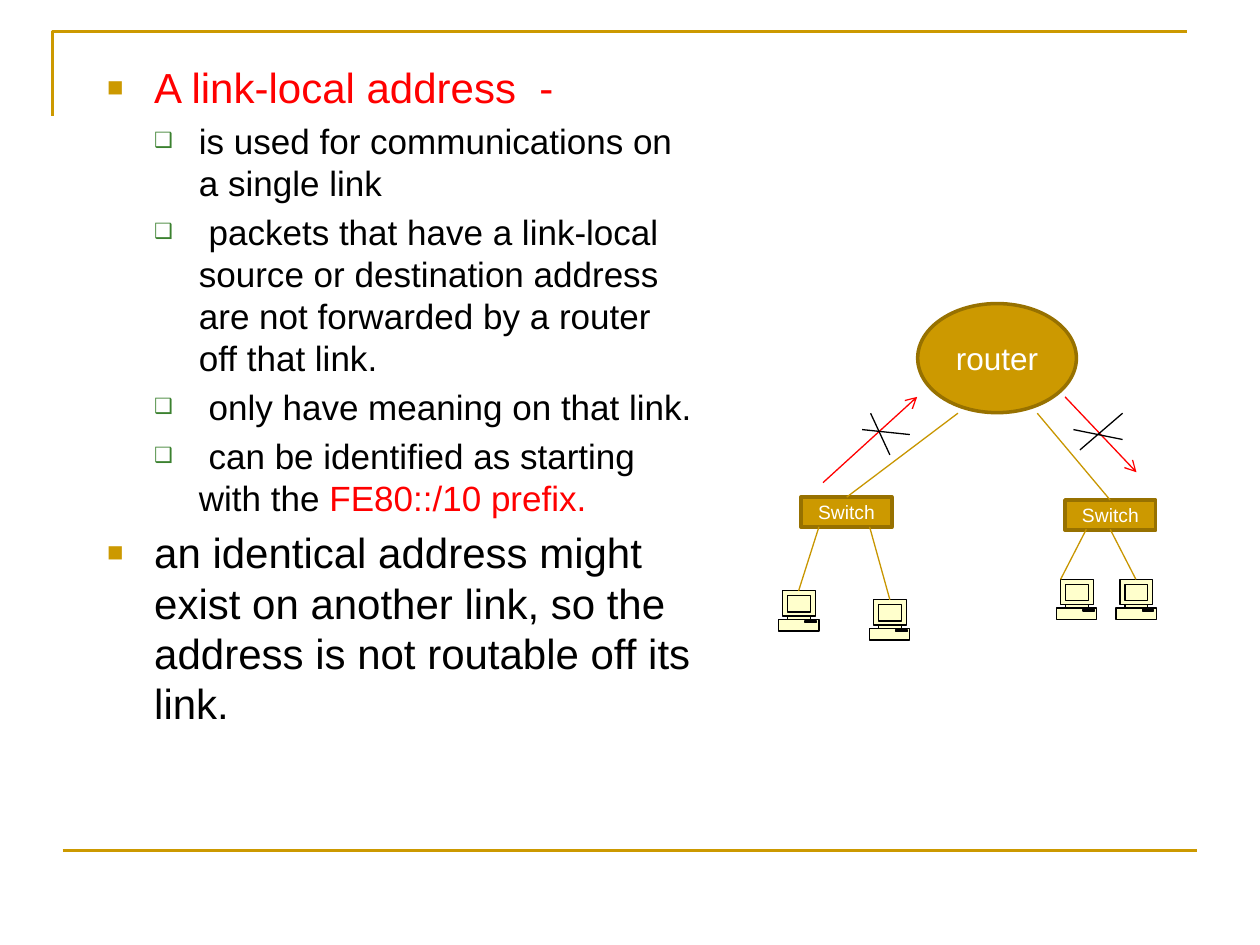
import pptx
import pptx.util
import pptx.dml.color
import pptx.enum.shapes
import pptx.enum.text
import pptx.oxml
import pptx.oxml.ns

Cm, Pt = pptx.util.Cm, pptx.util.Pt
KIND = pptx.enum.shapes.MSO_SHAPE
HUES = {
    "gold": "CC9900", "edge": "977100", "wire": "C89600", "red": "FF0000",
    "black": "000000", "white": "FFFFFF", "green": "3B812F", "cream": "FFFFCC",
}
FONT = "Arial"
LEVELS = [
    {"mark": "■", "hue": "gold", "pct": 65, "left": 0.95, "hang": 0.95, "size": 24},
    {"mark": "❑", "hue": "green", "pct": 60, "left": 1.85, "hang": 0.9, "size": 20},
]
ITEMS = [
    (0, [("A link-local address  -", "red")]),
    (1, [("is used for communications on a single link", "black")]),
    (1, [(" packets that have a link-local source or destination address "
          "are not forwarded by a router off that link.", "black")]),
    (1, [(" only have meaning on that link.", "black")]),
    (1, [(" can be identified as starting with the ", "black"),
         ("FE80::/10 prefix.", "red")]),
    (0, [("an identical address might exist on another link, so the address "
          "is not routable off its link.", "black")]),
]
HOSTS = [(0, 5.79), (1.83, 5.97), (5.6, 5.56), (6.8, 5.56)]
SWITCHES = [(5.77, 3.96), (0.45, 3.9)]
WIRES = [
    (0.4, 5.79, 0.81, 4.5), (2.24, 5.97, 1.83, 4.5),
    (5.68, 5.56, 6.2, 4.55), (7.2, 5.56, 6.68, 4.55),
    (1.37, 3.9, 3.61, 2.21), (6.68, 3.96, 5.21, 2.21),
]
ARROWS = [(0.89, 3.61, 2.79, 1.88), (5.77, 1.88, 7.21, 3.4)]
CROSSES = [
    (1.68, 2.54, 2.64, 2.64), (1.85, 2.21, 2.24, 3.05),
    (6.07, 2.95, 6.93, 2.21), (5.94, 2.54, 6.93, 2.74),
]
CASE = [
    (0.64, 0.58), (0.64, 0.51), (0.74, 0.51), (0.74, 0), (0.08, 0), (0.08, 0.51),
    (0.18, 0.51), (0.18, 0.58), (0, 0.58), (0, 0.81), (0.81, 0.81), (0.81, 0.58),
]
PANELS = [(0.18, 0.51, 0.46, 0.07), (0.18, 0.1, 0.46, 0.33), (0.53, 0.61, 0.23, 0.03)]


def tint(name):
    """Return the named colour."""
    return pptx.dml.color.RGBColor.from_string(HUES[name])


def paint(shape, fill, line, width):
    """Set fill and outline, and drop the shadow."""
    shape.shadow.inherit = False
    if fill:
        shape.fill.solid()
        shape.fill.fore_color.rgb = tint(fill)
    else:
        shape.fill.background()
    shape.line.color.rgb = tint(line)
    shape.line.width = Pt(width)


def write(para, text, size, hue):
    """Add one run to a paragraph."""
    run = para.add_run()
    run.text = text
    run.font.name, run.font.size = FONT, Pt(size)
    run.font.color.rgb = tint(hue)


def link(slide, box, ends, hue, width=0.75, arrow=False):
    """Draw a straight line inside the box."""
    x, y = box
    a, b, c, d = ends
    line = slide.shapes.add_connector(
        pptx.enum.shapes.MSO_CONNECTOR.STRAIGHT,
        Cm(x + a), Cm(y + b), Cm(x + c), Cm(y + d))
    line.line.color.rgb = tint(hue)
    line.line.width = Pt(width)
    name = pptx.oxml.ns.qn
    props = line._element.spPr
    if arrow:
        edge = props.find(name("a:ln"))
        edge.append(edge.makeelement(name("a:tailEnd"), {"type": "arrow"}))
    props.append(props.makeelement(name("a:effectLst")))


def trace(slide, box, points, close):
    """Build an outline from points inside the box."""
    spots = [(Cm(box[0] + x), Cm(box[1] + y)) for x, y in points]
    pen = slide.shapes.build_freeform(*spots[0])
    pen.add_line_segments(spots[1:], close=close)
    return pen.convert_to_shape()


def place(slide, box, kind, rect, fill, line, width):
    """Add a painted preset shape inside the box."""
    x, y, w, h = rect
    shape = slide.shapes.add_shape(
        kind, Cm(box[0] + x), Cm(box[1] + y), Cm(w), Cm(h))
    paint(shape, fill, line, width)
    return shape


def frame(slide, box):
    """Draw the corner rule and the bottom rule."""
    corner = trace(slide, box, [(0, 1.7), (0, 0), (22.86, 0)], False)
    paint(corner, None, "gold", 1.5)
    link(slide, box, (0.2, 16.51, 23.06, 16.51), "gold", 1.5)


def bullet(para, style):
    """Give a paragraph its bullet and hanging indent."""
    props = para._p.get_or_add_pPr()
    props.set("marL", str(Cm(style["left"])))
    props.set("indent", str(-Cm(style["hang"])))
    space = pptx.oxml.ns.nsdecls("a")
    for part in (
        f'<a:buClr {space}><a:srgbClr val="{HUES[style["hue"]]}"/></a:buClr>',
        f'<a:buSzPct {space} val="{style["pct"] * 1000}"/>',
        f'<a:buFont {space} typeface="{FONT}"/>',
        f'<a:buChar {space} char="{style["mark"]}"/>',
    ):
        props.append(pptx.oxml.parse_xml(part))


def body(slide, box):
    """Write the bulleted text."""
    text = slide.shapes.add_textbox(*map(Cm, box)).text_frame
    text.word_wrap = True
    for i, (level, runs) in enumerate(ITEMS):
        para = text.add_paragraph() if i else text.paragraphs[0]
        style = LEVELS[level]
        para.level = level
        bullet(para, style)
        if i:
            para.space_before = Pt(style["size"] * 0.2)
        for words, hue in runs:
            write(para, words, style["size"], hue)


def node(slide, box, kind, rect, label, size):
    """Add a labelled network device."""
    shape = place(slide, box, kind, rect, "gold", "edge", 2)
    text = shape.text_frame
    text.vertical_anchor = pptx.enum.text.MSO_ANCHOR.MIDDLE
    para = text.paragraphs[0]
    para.alignment = pptx.enum.text.PP_ALIGN.CENTER
    write(para, label, size, "white")


def host(slide, box):
    """Draw a desktop computer."""
    paint(trace(slide, box, CASE, True), "cream", "black", 0.75)
    for rect in PANELS:
        place(slide, box, KIND.RECTANGLE, rect, "cream", "black", 0.75)


def network(slide, box):
    """Draw the router, switches, computers and their links."""
    node(slide, box, KIND.OVAL, (2.8, 0, 3.2, 2.2), "router", 18)
    for x, y in HOSTS:
        host(slide, (box[0] + x, box[1] + y))
    for x, y in SWITCHES:
        node(slide, box, KIND.RECTANGLE, (x, y, 1.83, 0.61), "Switch", 11)
    for group, hue, arrow in (
        (WIRES, "wire", False), (ARROWS, "red", True), (CROSSES, "black", False),
    ):
        for ends in group:
            link(slide, box, ends, hue, arrow=arrow)


def main():
    """Build and save the slide."""
    deck = pptx.Presentation()
    deck.slide_width, deck.slide_height = Cm(25.4), Cm(19.05)
    slide = deck.slides.add_slide(deck.slide_layouts[6])
    frame(slide, (1.06, 0.63))
    body(slide, (1.91, 1.12, 12.4, 11.61))
    network(slide, (15.7, 6.12))
    deck.save("out.pptx")


if __name__ == "__main__":
    main()
